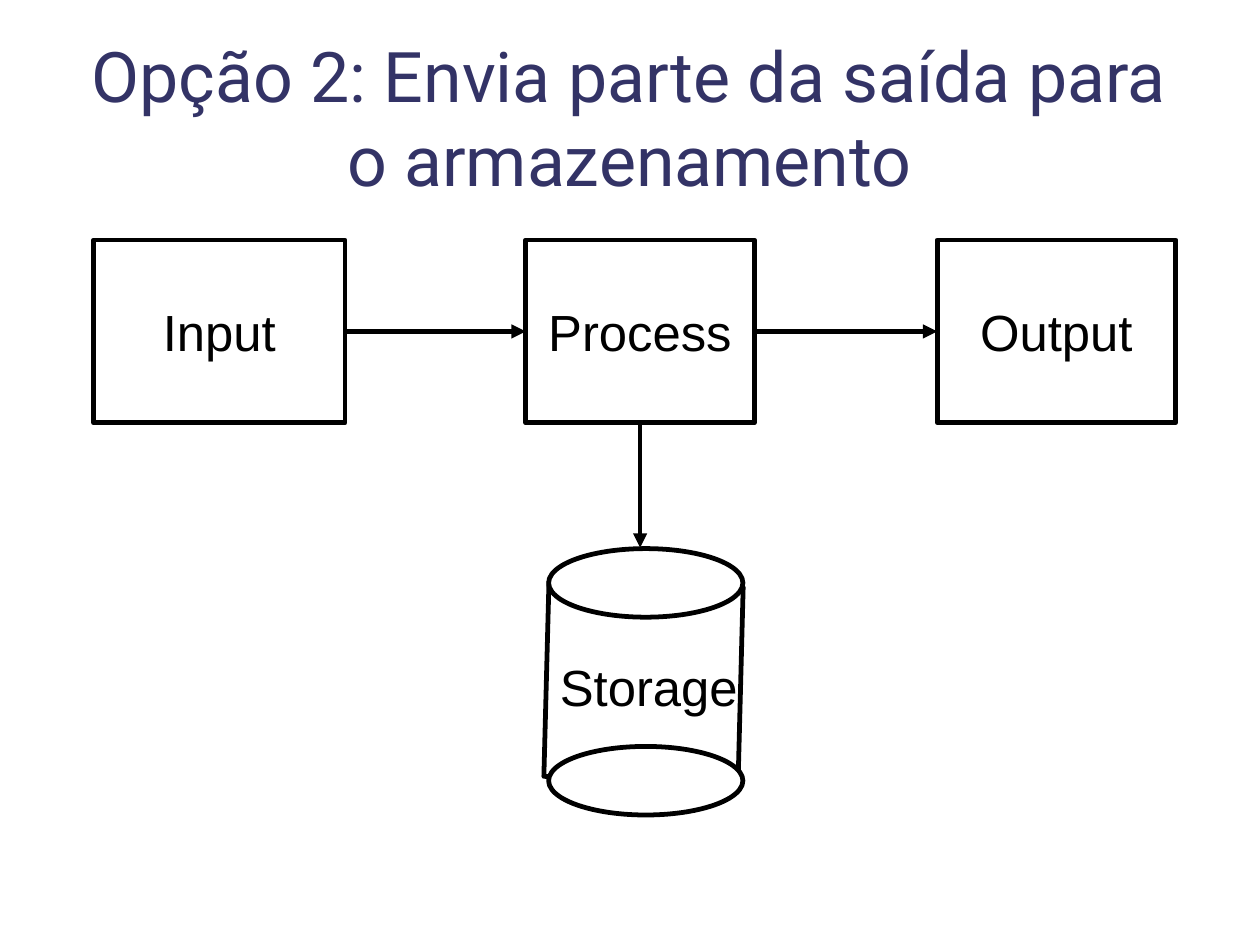
import dataclasses

import pptx
import pptx.dml.color
import pptx.enum.shapes
import pptx.enum.text
import pptx.oxml.ns
import pptx.util
import lxml.etree

Pt = pptx.util.Pt
Color = pptx.dml.color.RGBColor
Shapes = pptx.enum.shapes.MSO_SHAPE
Align = pptx.enum.text.PP_ALIGN
Anchor = pptx.enum.text.MSO_ANCHOR
AutoSize = pptx.enum.text.MSO_AUTO_SIZE


@dataclasses.dataclass(frozen=True)
class Theme:
    """Hold the colours, fonts and sizes of the slide."""

    ink: Color = Color(0x00, 0x00, 0x00)
    paper: Color = Color(0xFF, 0xFF, 0xFF)
    title: Color = Color(0x33, 0x33, 0x66)
    title_font: str = "Roboto"
    label_font: str = "Arial"
    title_size: float = 44
    label_size: float = 32
    line_width: float = 3


THEME = Theme()


def write_text(text_frame, text, font_name, size, color, alignment):
    """Fill a text frame with one paragraph and format its runs."""
    text_frame.text = text
    paragraph = text_frame.paragraphs[0]
    paragraph.alignment = alignment
    for run in paragraph.runs:
        run.font.name = font_name
        run.font.size = Pt(size)
        run.font.color.rgb = color


def set_margins(text_frame, horizontal, vertical):
    """Set the inner margins of a text frame."""
    text_frame.margin_left = text_frame.margin_right = Pt(horizontal)
    text_frame.margin_top = text_frame.margin_bottom = Pt(vertical)


def add_outlined(slide, kind, left, top, width, height):
    """Add a white preset shape with a black outline."""
    shape = slide.shapes.add_shape(kind, Pt(left), Pt(top), Pt(width), Pt(height))
    shape.shadow.inherit = False
    shape.fill.solid()
    shape.fill.fore_color.rgb = THEME.paper
    shape.line.color.rgb = THEME.ink
    shape.line.width = Pt(THEME.line_width)
    return shape


def add_title(slide, text, left, top, width, height):
    """Place and format the title placeholder."""
    title = slide.shapes.title
    title.left, title.top, title.width, title.height = map(Pt, (left, top, width, height))
    text_frame = title.text_frame
    write_text(text_frame, text, THEME.title_font, THEME.title_size, THEME.title, Align.CENTER)
    set_margins(text_frame, 0, 0)
    text_frame.vertical_anchor = Anchor.MIDDLE
    text_frame.auto_size = AutoSize.SHAPE_TO_FIT_TEXT


def add_step(slide, label, left, top, width, height):
    """Add one labelled box of the flow."""
    step = add_outlined(slide, Shapes.RECTANGLE, left, top, width, height)
    text_frame = step.text_frame
    write_text(text_frame, label, THEME.label_font, THEME.label_size, THEME.ink, Align.CENTER)
    set_margins(text_frame, 8.64, 5.04)
    text_frame.vertical_anchor = Anchor.MIDDLE
    text_frame.word_wrap = False
    return step


def add_arrow(slide, source, source_site, end_x, end_y, target=None, target_site=None):
    """Draw an arrow from a shape to a point or to another shape."""
    connector = slide.shapes.add_connector(
        pptx.enum.shapes.MSO_CONNECTOR.STRAIGHT, 0, 0, Pt(end_x), Pt(end_y)
    )
    connector.begin_connect(source, source_site)
    if target is not None:
        connector.end_connect(target, target_site)
    connector.line.color.rgb = THEME.ink
    connector.line.width = Pt(THEME.line_width)
    line = connector.line._get_or_add_ln()
    lxml.etree.SubElement(line, pptx.oxml.ns.qn("a:tailEnd"), type="triangle")
    lxml.etree.SubElement(connector._element.spPr, pptx.oxml.ns.qn("a:effectLst"))


def add_flow(slide, left, top, height):
    """Lay out the row of steps, join them and return the middle one."""
    columns = (("Input", 0, 158.4), ("Process", 272.2, 144), ("Output", 531.4, 150.2))
    steps = [
        add_step(slide, label, left + offset, top, width, height)
        for label, offset, width in columns
    ]
    for source, target in zip(steps, steps[1:]):
        add_arrow(slide, source, 3, 0, 0, target, 1)
    return steps[1]


def add_storage(slide, label, left, top, width, height):
    """Draw the storage drum with its label inside the given box."""
    cap_height = 43.2
    body_height = 122.4
    body_top = top + (height - body_height) / 2
    body = add_outlined(slide, Shapes.RECTANGLE, left - 1.4, body_top, width, body_height)
    body.rotation = 1.5
    for cap_top in (top, top + height - cap_height):
        add_outlined(slide, Shapes.OVAL, left, cap_top, width, cap_height)
    caption = slide.shapes.add_textbox(
        Pt(left), Pt(top + 64), Pt(width + 14.4), Pt(cap_height)
    )
    text_frame = caption.text_frame
    write_text(text_frame, label, THEME.label_font, THEME.label_size, THEME.ink, Align.LEFT)
    set_margins(text_frame, 7.2, 3.6)
    text_frame.word_wrap = True
    text_frame.auto_size = AutoSize.SHAPE_TO_FIT_TEXT


def main():
    """Build the slide and save it."""
    presentation = pptx.Presentation()
    presentation.slide_width = Pt(793.7)
    presentation.slide_height = Pt(595.28)
    slide = presentation.slides.add_slide(presentation.slide_layouts[5])
    slide.background.fill.solid()
    slide.background.fill.fore_color.rgb = THEME.paper
    add_title(
        slide, "Opção 2: Envia parte da saída para\vo armazenamento", 39.6, -16.5, 714.2, 180
    )
    process = add_flow(slide, 59, 151.2, 115.2)
    add_storage(slide, "Storage", 345.6, 345.6, 122.4, 167.8)
    add_arrow(slide, process, 2, 403.2, 345)
    presentation.save("out.pptx")


if __name__ == "__main__":
    main()
